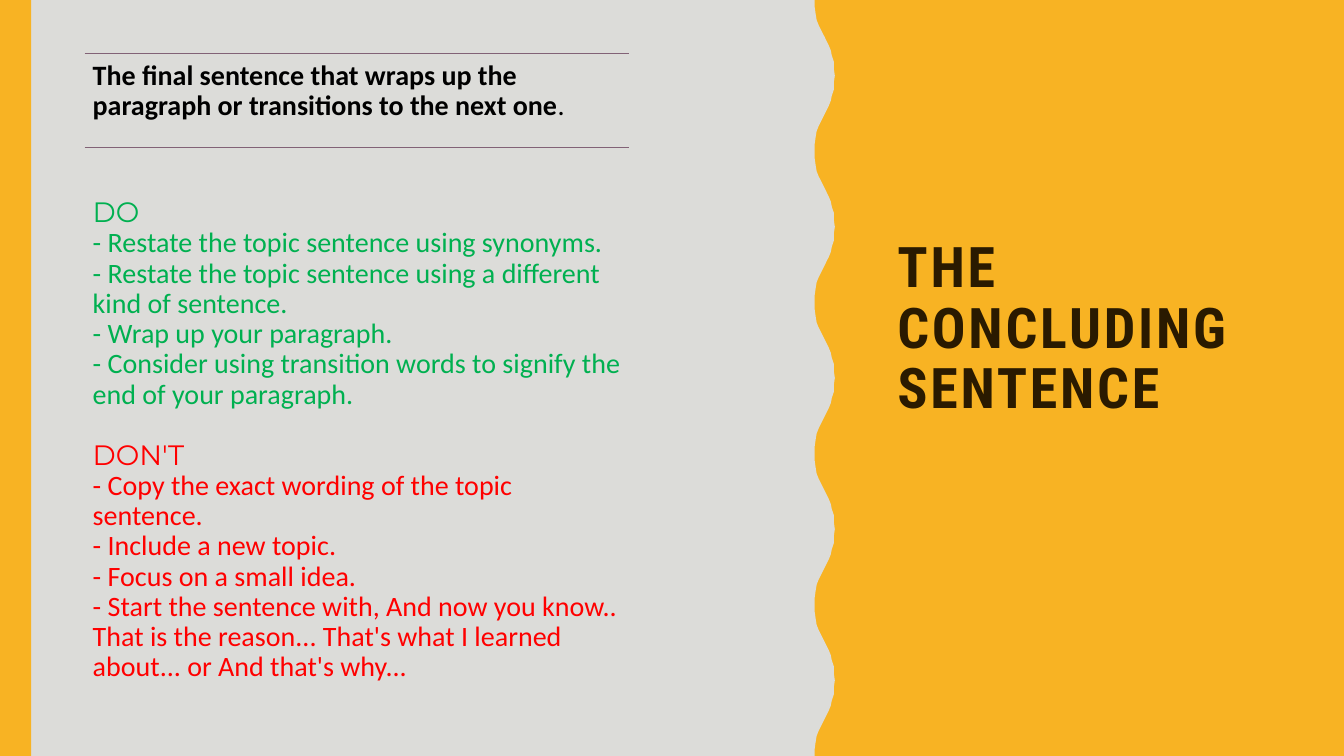
"""Build the slide on writing a concluding sentence."""
from dataclasses import dataclass
from typing import Any

import lxml.etree
import pptx
import pptx.dml.color
import pptx.enum.shapes
import pptx.enum.text
import pptx.oxml.ns
import pptx.util

EMU_PER_PX = 9144
WIDTH, HEIGHT = 1333, 750
AMBER, GREY, BROWN, MAUVE = "F8B323", "DCDCD9", "2A1A00", "826276"
BLACK, GREEN, RED = "000000", "00B050", "FF0000"
WAVE_LEFT, WAVE_PERIOD = 808, 150
WAVE_RISE = [(0, 0), (0, 7), (1, 14), (2, 20), (4, 25), (6, 29), (8, 33), (10, 37),
             (12, 41), (14, 45), (16, 50), (17, 55), (19, 61), (19, 68), (20, 75)]


@dataclass(frozen=True)
class Box:
    left: int
    top: int
    width: int
    height: int


@dataclass(frozen=True)
class Run:
    text: str
    color: str
    font: str = "Calibri"
    size: int = 20
    bold: bool = False


@dataclass(frozen=True)
class Line:
    runs: tuple[Run, ...]
    space_before: int = 0


@dataclass(frozen=True)
class Section:
    heading: str
    color: str
    advice: tuple[str, ...]
    space_before: int = 0

    def lines(self) -> list[Line]:
        heading = Run(self.heading, self.color, "Montserrat")
        return [Line((heading,), self.space_before),
                *(Line((Run(f"- {text}", self.color),)) for text in self.advice)]


DEFINITION = [Line((
    Run("The final sentence that wraps up the paragraph or transitions to the next one",
        BLACK, bold=True),
    Run(".", BLACK),
))]
SECTIONS = [
    Section("DO", GREEN, (
        "Restate the topic sentence using synonyms.",
        "Restate the topic sentence using a different kind of sentence.",
        "Wrap up your paragraph.",
        "Consider using transition words to signify the end of your paragraph.",
    )),
    Section("DON'T", RED, (
        "Copy the exact wording of the topic sentence.",
        "Include a new topic.",
        "Focus on a small idea.",
        "Start the sentence with, And now you know.. That is the reason... "
        "That's what I learned about... or And that's why...",
    ), space_before=22),
]
TITLE = [Line((Run("THE CONCLUDING SENTENCE", BROWN, "Roboto Condensed", 40, True),))]
DEFINITION_BOX = Box(84, 53, 540, 93)
ADVICE_BOX = Box(84, 146, 540, 280)
TITLE_BOX = Box(880, 53, 400, 609)


def px(length: int) -> pptx.util.Emu:
    return pptx.util.Emu(length * EMU_PER_PX)


def rgb(color: str) -> pptx.dml.color.RGBColor:
    return pptx.dml.color.RGBColor.from_string(color)


def apply_format(target: Any, values: dict[str, Any]) -> None:
    for name, value in values.items():
        setattr(target, name, value)


def place(box: Box) -> tuple[pptx.util.Emu, ...]:
    return px(box.left), px(box.top), px(box.width), px(box.height)


def paint(shape: Any, color: str) -> None:
    shape.shadow.inherit = False
    shape.fill.solid()
    shape.fill.fore_color.rgb = rgb(color)
    shape.line.fill.background()


def add_panel(slide: Any, box: Box, color: str) -> None:
    rectangle = pptx.enum.shapes.MSO_SHAPE.RECTANGLE
    paint(slide.shapes.add_shape(rectangle, *place(box)), color)


def add_wave(slide: Any) -> None:
    fall = [(x, WAVE_PERIOD - y) for x, y in reversed(WAVE_RISE[:-1])]
    edge = [(WAVE_LEFT + x, start + y)
            for start in range(0, HEIGHT, WAVE_PERIOD)
            for x, y in WAVE_RISE + fall]
    builder = slide.shapes.build_freeform(0, 0, scale=EMU_PER_PX)
    builder.add_line_segments([*edge, (0, HEIGHT)], close=True)
    paint(builder.convert_to_shape(), GREY)


def add_rule(slide: Any, box: Box) -> None:
    straight = pptx.enum.shapes.MSO_CONNECTOR.STRAIGHT
    rule = slide.shapes.add_connector(
        straight, px(box.left), px(box.top), px(box.left + box.width), px(box.top))
    rule.line.color.rgb = rgb(MAUVE)
    rule.line.width = pptx.util.Pt(0.5)
    lxml.etree.SubElement(rule._element.spPr, pptx.oxml.ns.qn("a:effectLst"))


def write_lines(frame: Any, lines: list[Line], frame_format: dict[str, Any]) -> None:
    apply_format(frame, {
        "word_wrap": True,
        "auto_size": pptx.enum.text.MSO_AUTO_SIZE.NONE,
        **frame_format,
    })
    for index, line in enumerate(lines):
        paragraph = frame.add_paragraph() if index else frame.paragraphs[0]
        apply_format(paragraph, {
            "alignment": pptx.enum.text.PP_ALIGN.LEFT,
            "line_spacing": 0.9,
            "space_before": pptx.util.Pt(line.space_before),
            "space_after": pptx.util.Pt(0),
        })
        for item in line.runs:
            run = paragraph.add_run()
            run.text = item.text
            apply_format(run.font, {
                "name": item.font,
                "size": pptx.util.Pt(item.size),
                "bold": item.bold,
            })
            run.font.color.rgb = rgb(item.color)


def add_text(slide: Any, box: Box, lines: list[Line], top_margin: int) -> None:
    margins = {f"margin_{side}": px(8) for side in ("left", "right", "bottom")}
    frame = slide.shapes.add_textbox(*place(box)).text_frame
    write_lines(frame, lines, {**margins, "margin_top": px(top_margin)})


def add_title(slide: Any) -> None:
    title = slide.shapes.title
    apply_format(title, dict(zip(("left", "top", "width", "height"), place(TITLE_BOX))))
    write_lines(title.text_frame, TITLE, {
        "vertical_anchor": pptx.enum.text.MSO_ANCHOR.MIDDLE,
        "margin_bottom": px(65),
    })
    for run in title.text_frame.paragraphs[0].runs:
        run._r.get_or_add_rPr().set("spc", "200")
    slide.shapes._spTree.append(title._element)


def main() -> None:
    presentation = pptx.Presentation()
    presentation.slide_width = px(WIDTH)
    presentation.slide_height = px(HEIGHT)
    slide = presentation.slides.add_slide(presentation.slide_layouts[5])
    add_panel(slide, Box(0, 0, WIDTH, HEIGHT), AMBER)
    add_wave(slide)
    add_panel(slide, Box(0, 0, 31, HEIGHT), AMBER)
    add_title(slide)
    for box in (DEFINITION_BOX, ADVICE_BOX):
        add_rule(slide, box)
    add_text(slide, DEFINITION_BOX, DEFINITION, 8)
    advice = [line for section in SECTIONS for line in section.lines()]
    add_text(slide, ADVICE_BOX, advice, 51)
    presentation.save("out.pptx")


if __name__ == "__main__":
    main()
